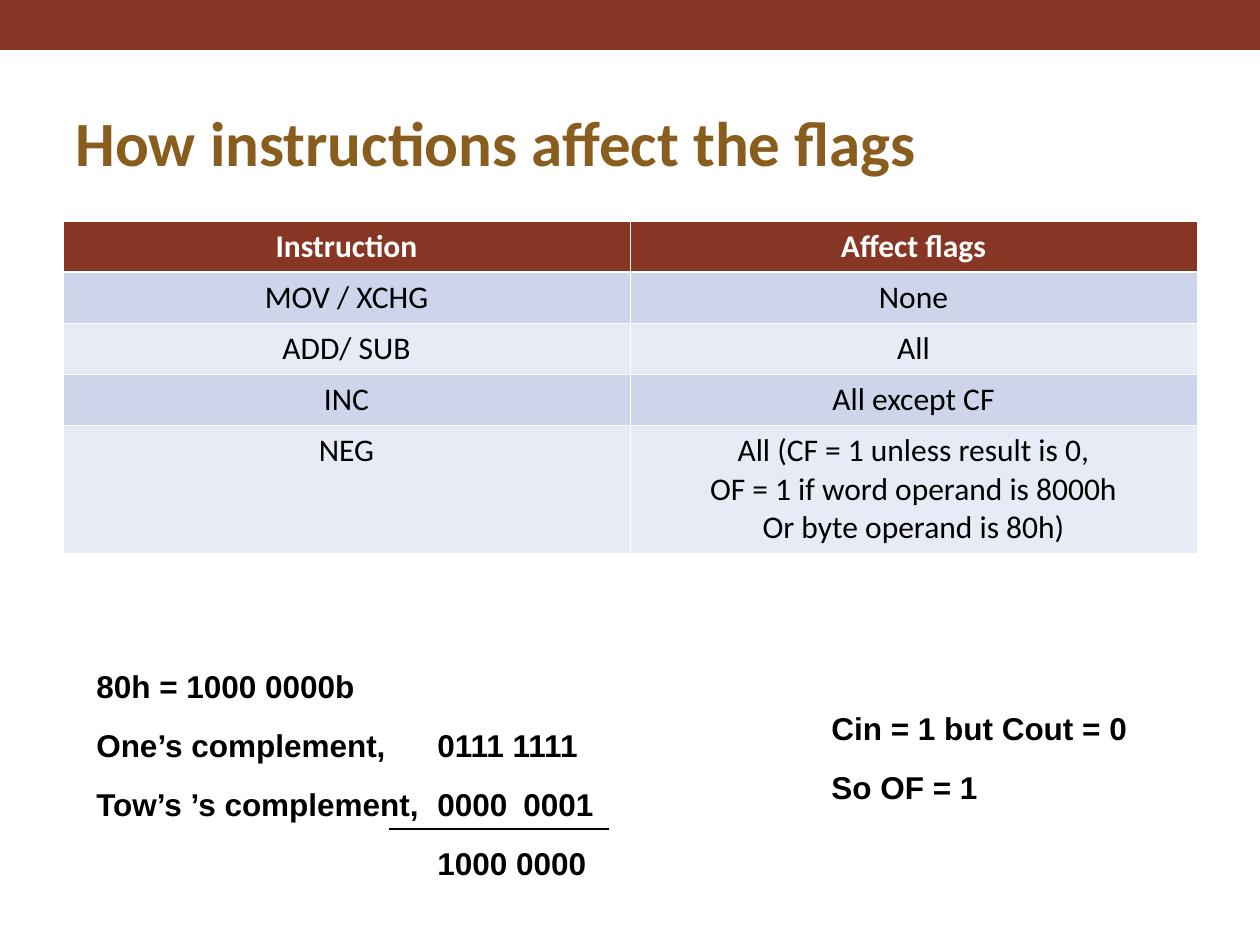
from lxml import etree
from pptx import Presentation
from pptx import util as u
from pptx.dml.color import RGBColor
from pptx.enum import shapes, text
from pptx.oxml.ns import qn

RUST = RGBColor(0x87, 0x36, 0x24)
BRONZE = RGBColor(0x89, 0x5D, 0x1D)
BAND_DARK = RGBColor(0xCC, 0xD5, 0xEA)
BAND_LIGHT = RGBColor(0xE7, 0xEB, 0xF5)
WHITE = RGBColor(0xFF, 0xFF, 0xFF)
BLACK = RGBColor(0, 0, 0)
EMU_PER_PX = 914400 / 126


def px(length):
    return u.Emu(round(length * EMU_PER_PX))


class SlideBuilder:
    heading_font = "Calibri"
    note_font = "Arial"
    text_size = 18

    def __init__(self, page):
        self.page = page

    def add_span(self, para, words, font, size, color, bold=False):
        span = para.add_run()
        span.text = words
        span.font.name = font
        span.font.size = u.Pt(size)
        span.font.bold = bold
        span.font.color.rgb = color

    def bar(self, left, top, width, height, color):
        box = self.page.shapes.add_shape(
            shapes.MSO_SHAPE.RECTANGLE, px(left), px(top), px(width), px(height))
        box.shadow.inherit = False
        box.fill.solid()
        box.fill.fore_color.rgb = color
        box.line.fill.background()

    def title(self, words, left, top, width, height):
        box = self.page.shapes.title
        box.left, box.top, box.width, box.height = map(px, (left, top, width, height))
        frame = box.text_frame
        frame.auto_size = text.MSO_AUTO_SIZE.NONE
        frame.vertical_anchor = text.MSO_ANCHOR.MIDDLE
        para = frame.paragraphs[0]
        para.alignment = text.PP_ALIGN.LEFT
        self.add_span(para, words, self.heading_font, 36, BRONZE, True)

    def cell_borders(self, cell, widths):
        props = cell._tc.get_or_add_tcPr()
        for side, points in zip("LRTB", widths):
            edge = etree.SubElement(props, qn(f"a:ln{side}"), w=str(u.Pt(points)))
            fill = etree.SubElement(edge, qn("a:solidFill"))
            etree.SubElement(fill, qn("a:srgbClr"), val=str(WHITE))

    def table(self, rows, left, top, width, heights):
        columns = len(rows[0])
        grid = self.page.shapes.add_table(
            len(rows), columns, px(left), px(top), px(width), px(sum(heights))).table
        grid.horz_banding = False
        for column in grid.columns:
            column.width = px(width / columns)
        thin, thick = 0.45, 1.47
        for r, (row, height) in enumerate(zip(rows, heights)):
            grid.rows[r].height = px(height)
            header = r == 0
            band = RUST if header else (BAND_LIGHT, BAND_DARK)[r % 2]
            for c, words in enumerate(row):
                cell = grid.cell(r, c)
                self.cell_borders(cell, (thin, thin, thick if r == 1 else thin,
                                         thick if header else thin))
                cell.fill.solid()
                cell.fill.fore_color.rgb = band
                frame = cell.text_frame
                for i, line in enumerate(words.split("\n")):
                    para = frame.add_paragraph() if i else frame.paragraphs[0]
                    para.alignment = text.PP_ALIGN.CENTER
                    self.add_span(para, line, self.heading_font, self.text_size,
                                  WHITE if header else BLACK, header)

    def note(self, lines, left, top, width, height, tabs=()):
        box = self.page.shapes.add_textbox(px(left), px(top), px(width), px(height))
        frame = box.text_frame
        frame.word_wrap = True
        for i, line in enumerate(lines):
            para = frame.add_paragraph() if i else frame.paragraphs[0]
            if i:
                para.space_before = u.Pt(12)
            if tabs:
                stops = etree.SubElement(para._p.get_or_add_pPr(), qn("a:tabLst"))
                for stop in tabs:
                    etree.SubElement(stops, qn("a:tab"), pos=str(px(stop)), algn="l")
            self.add_span(para, line, self.note_font, self.text_size, BLACK, True)

    def rule(self, left, right, y):
        line = self.page.shapes.add_connector(
            shapes.MSO_CONNECTOR.STRAIGHT, px(left), px(y), px(right), px(y))
        line.line.color.rgb = BLACK
        line.line.width = u.Pt(0.75)
        etree.SubElement(line._element.spPr, qn("a:effectLst"))


def main():
    deck = Presentation()
    deck.slide_width, deck.slide_height = px(1260), px(945)
    slide = SlideBuilder(deck.slides.add_slide(deck.slide_layouts[5]))

    # Heading
    slide.bar(0, 0, 1260, 50, RUST)
    slide.title("How instructions affect the flags", 63, 73, 1134, 136)

    # Flags changed by each instruction
    slide.table([
        ("Instruction", "Affect flags"),
        ("MOV / XCHG", "None"),
        ("ADD/ SUB", "All"),
        ("INC", "All except CF"),
        ("NEG", "All (CF = 1 unless result is 0,\n"
                "OF = 1 if word operand is 8000h\n"
                "Or byte operand is 80h)"),
    ], 63, 221, 1134, [51] * 4 + [127])

    # Worked negation, with the binary digits on tab stops
    slide.note([
        "80h = 1000 0000b",
        "One’s complement,\t0111 1111",
        "Tow’s ’s complement,\t0000\t0001",
        "\t1000 0000",
    ], 84, 661, 577, 284, tabs=(341, 427))
    slide.rule(389, 609, 829)

    # Conclusion
    slide.note(["Cin = 1 but Cout = 0", "So OF = 1"], 819, 703, 357, 108)

    deck.save("out.pptx")


if __name__ == "__main__":
    main()
